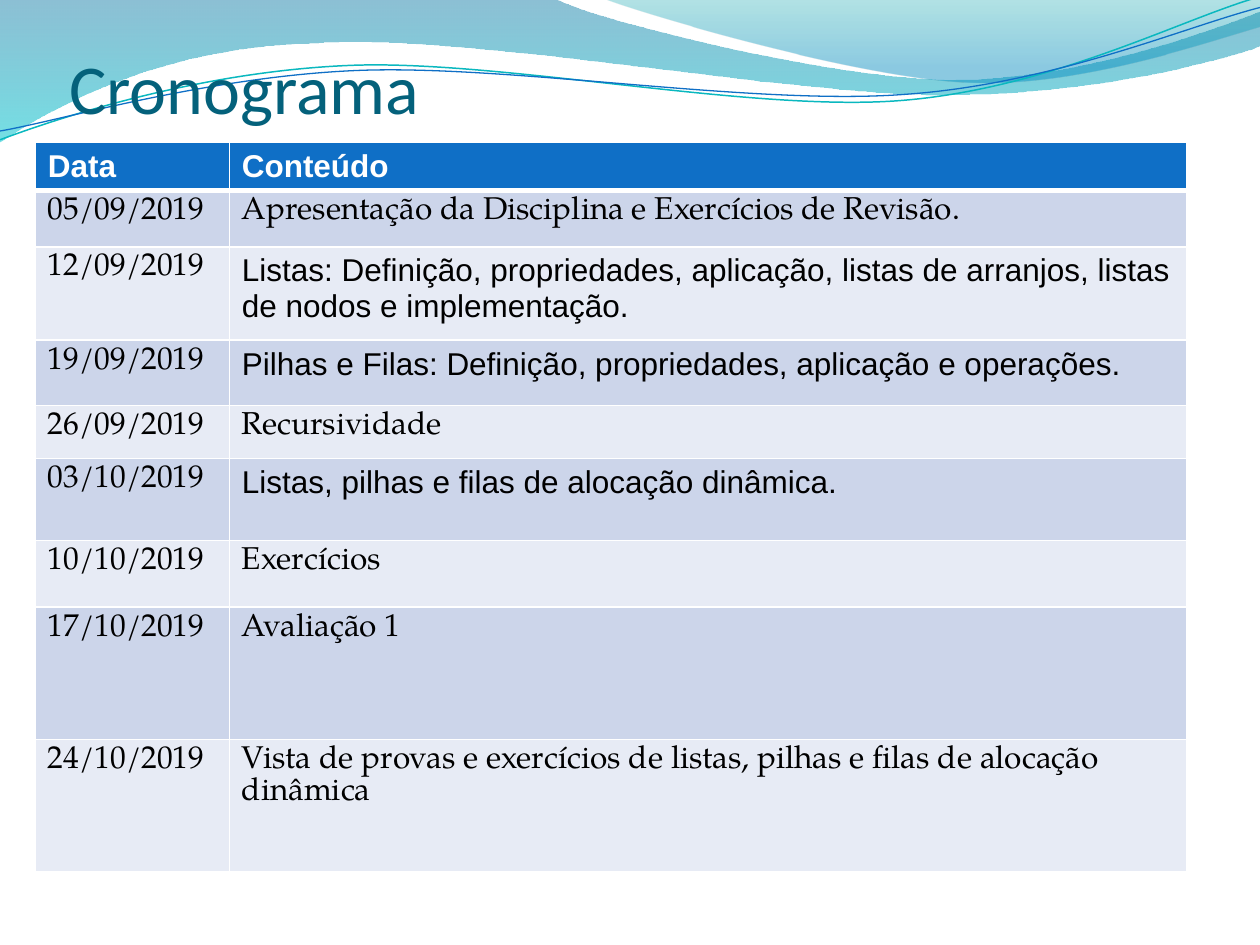
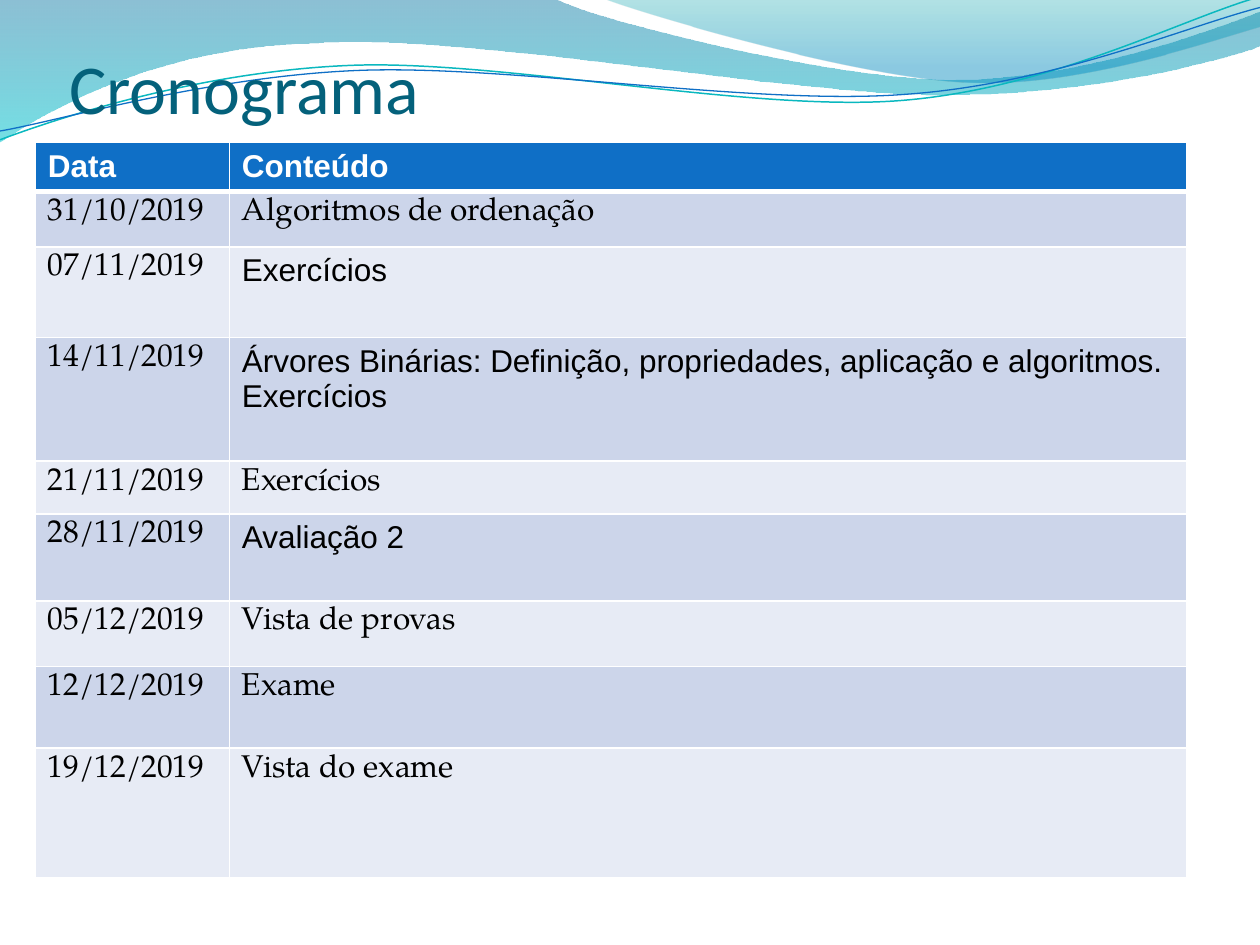
import math

from lxml import etree
from pptx import Presentation, util as u
from pptx.dml.color import RGBColor
from pptx.enum import text
from pptx.oxml.ns import qn

# Content: date, topic, topic font, row height
SERIF, SANS, TITLE_FONT = "TeX Gyre Pagella", "Arial", "Calibri"
TITLE = "Cronograma"
HEADINGS = ("Data", "Conteúdo")
SCHEDULES = [
    {"heading_height": 0.37, "classes": [
        ("05/09/2019", "Apresentação da Disciplina e Exercícios de Revisão.", SERIF, 0.45),
        ("12/09/2019", "Listas: Definição, propriedades, aplicação, listas de arranjos, "
                       "listas de nodos e implementação.", SANS, 0.74),
        ("19/09/2019", "Pilhas e Filas: Definição, propriedades, aplicação e operações.", SANS, 0.52),
        ("26/09/2019", "Recursividade", SERIF, 0.42),
        ("03/10/2019", "Listas, pilhas e filas de alocação dinâmica.", SANS, 0.65),
        ("10/10/2019", "Exercícios", SERIF, 0.53),
        ("17/10/2019", "Avaliação 1", SERIF, 1.05),
        ("24/10/2019", "Vista de provas e exercícios de listas, pilhas e filas de "
                       "alocação dinâmica", SERIF, 1.05),
    ]},
    {"heading_height": 0.39, "classes": [
        ("31/10/2019", "Algoritmos de ordenação", SERIF, 0.44),
        ("07/11/2019", "Exercícios", SANS, 0.72),
        ("14/11/2019", "Árvores Binárias: Definição, propriedades, aplicação e algoritmos.\n"
                       "Exercícios", SANS, 0.98),
        ("21/11/2019", "Exercícios", SERIF, 0.42),
        ("28/11/2019", "Avaliação 2", SANS, 0.69),
        ("05/12/2019", "Vista de provas", SERIF, 0.52),
        ("12/12/2019", "Exame", SERIF, 0.65),
        ("19/12/2019", "Vista do exame", SERIF, 1.03),
    ]},
]

# Shared look
WIDTH, HEIGHT = 10, 7.5
WHITE, BLACK, BLUE, TEAL = "FFFFFF", "000000", "0F6FC6", "04617B"
BANDS = ("CCD5EA", "E7EBF5")
COLUMNS = (1.54, 7.6)
TABLE_LEFT, TABLE_TOP = 0.28, 1.13
TEXT_SIZE = u.Pt(18)

# Waves: each step is its Bezier points, or one point for a straight line
WAVES = [
    {"outline": [[(0, 0)], [(4.4, -0.01)],
                 [(4.76, 0.17), (6.64, 0.63), (7.58, 0.63)],
                 [(8.53, 0.63), (9.58, 0.26), (10, 0.09)], [(10.01, 0.36)],
                 [(9.83, 0.44), (8.7, 0.76), (7.46, 0.75)],
                 [(6.22, 0.75), (3.82, 0.28), (2.57, 0.34)],
                 [(1.29, 0.36), (0.46, 0.83), (-0.01, 1.13)], [(0, 0)]],
     "gradient": [(0, "0074A1", 45), (1, "00C6CF", 55)]},
    {"outline": [[(4.79, -0.01)],
                 [(5.09, 0.11), (6.82, 0.62), (7.69, 0.65)],
                 [(8.56, 0.69), (9.61, 0.32), (10, 0.21)], [(10, 0)], [(4.79, -0.01)]],
     "gradient": [(0, "00A1A9", 30), (0.8, "008BBF", 45)]},
    {"outline": [[(0, 1.11)],
                 [(0.48, 0.93), (1.58, 0.57), (2.77, 0.52)],
                 [(3.95, 0.47), (5.93, 0.89), (7.13, 0.8)],
                 [(8.33, 0.71), (9.38, 0.15), (9.98, -0.02)]],
     "line": ("0AB8BF", 0.85), "tilt": -2.7},
    {"outline": [[(0, 1.04)],
                 [(0.47, 0.96), (1.64, 0.61), (2.83, 0.56)],
                 [(4.03, 0.51), (5.97, 0.84), (7.17, 0.75)],
                 [(8.36, 0.67), (9.41, 0.21), (10, 0.06)]],
     "line": (BLUE, 0.75), "tilt": -2.7},
]
WAVE_CENTER = (5, 0.58)
UNITS = 10000  # freeform units to the inch


def color(value):
    return RGBColor.from_string(value)


def style(paragraph, font, size, value, bold=False):
    paragraph.font.name, paragraph.font.size = font, size
    paragraph.font.color.rgb, paragraph.font.bold = color(value), bold


def level(point, tilt):
    """Place of a point before the shape is tilted, in freeform units."""
    angle = math.radians(-tilt)
    across, down = (value - middle for value, middle in zip(point, WAVE_CENTER))
    return (round((WAVE_CENTER[0] + across * math.cos(angle) - down * math.sin(angle)) * UNITS),
            round((WAVE_CENTER[1] + across * math.sin(angle) + down * math.cos(angle)) * UNITS))


def add_wave(page, outline, gradient=None, line=None, tilt=0):
    steps = [[level(point, tilt) for point in step] for step in outline]
    ends = [step[-1] for step in steps]
    builder = page.shapes.build_freeform(*ends[0], scale=u.Inches(1) / UNITS)
    builder.add_line_segments(ends[1:], close=gradient is not None)
    wave = builder.convert_to_shape()
    wave.rotation = tilt
    wave.shadow.inherit = False

    # Bend the straight segments into Bezier curves
    left, top = (min(axis) for axis in zip(*ends))
    for segment, step in zip(list(wave.element.iter(qn("a:lnTo"))), steps[1:]):
        if len(step) == 3:
            curve = etree.Element(qn("a:cubicBezTo"))
            for x, y in step:
                etree.SubElement(curve, qn("a:pt"), x=str(x - left), y=str(y - top))
            segment.getparent().replace(segment, curve)

    if line:
        wave.fill.background()
        wave.line.color.rgb, wave.line.width = color(line[0]), u.Pt(line[1])
        return
    wave.line.fill.background()
    wave.fill.gradient()
    wave.fill.gradient_angle = 270
    for stop, (position, value, _) in zip(wave.fill.gradient_stops, gradient):
        stop.position, stop.color.rgb = position, color(value)
    for tint, (_, _, opacity) in zip(wave.element.spPr.iter(qn("a:srgbClr")), gradient):
        etree.SubElement(tint, qn("a:alpha"), val=str(opacity * 1000))


def add_title(page):
    box = page.shapes.add_textbox(u.Inches(0.55), u.Inches(0.23), u.Inches(9.22), u.Inches(0.79))
    frame = box.text_frame
    frame.word_wrap = True
    frame.vertical_anchor = text.MSO_ANCHOR.BOTTOM
    frame.margin_left = frame.margin_right = frame.margin_bottom = 0
    frame.margin_top = u.Inches(0.05)
    frame.text = TITLE
    style(frame.paragraphs[0], TITLE_FONT, u.Pt(40), TEAL)


def set_borders(cell, top=1, bottom=1):
    properties = cell._tc.get_or_add_tcPr()
    sides = (("a:lnL", 1), ("a:lnR", 1), ("a:lnT", top), ("a:lnB", bottom))
    for place, (side, points) in enumerate(sides):
        border = etree.Element(qn(side), w=str(u.Pt(points)))
        fill = etree.SubElement(border, qn("a:solidFill"))
        etree.SubElement(fill, qn("a:srgbClr"), val=WHITE)
        properties.insert(place, border)


def fill_cell(cell, words, font, background, value=BLACK, bold=False):
    cell.text = words
    cell.fill.solid()
    cell.fill.fore_color.rgb = color(background)
    for paragraph in cell.text_frame.paragraphs:
        style(paragraph, font, TEXT_SIZE, value, bold)
        if font == SERIF:
            paragraph.line_spacing = TEXT_SIZE


def add_schedule(page, heading_height, classes):
    heights = [heading_height] + [row[-1] for row in classes]
    table = page.shapes.add_table(
        len(heights), len(COLUMNS), u.Inches(TABLE_LEFT), u.Inches(TABLE_TOP),
        u.Inches(sum(COLUMNS)), u.Inches(sum(heights))).table
    for column, width in zip(table.columns, COLUMNS):
        column.width = u.Inches(width)
    for row, height in zip(table.rows, heights):
        row.height = u.Inches(height)

    # Heading row, with a thick rule below it
    for cell, words in zip(table.rows[0].cells, HEADINGS):
        fill_cell(cell, words, SANS, BLUE, WHITE, bold=True)
        cell.margin_bottom = u.Inches(0.03)
        set_borders(cell, bottom=3)

    # One banded row for each class
    for index, (date, topic, font, _) in enumerate(classes):
        cells = table.rows[index + 1].cells
        for cell, words, face in zip(cells, (date, topic), (SERIF, font)):
            fill_cell(cell, words, face, BANDS[index % 2])
            set_borders(cell, top=1 if index else 3)


deck = Presentation()
deck.slide_width, deck.slide_height = u.Inches(WIDTH), u.Inches(HEIGHT)
for schedule in SCHEDULES:
    page = deck.slides.add_slide(deck.slide_layouts[6])
    for wave in WAVES:
        add_wave(page, **wave)
    add_title(page)
    add_schedule(page, **schedule)
deck.save("out.pptx")
